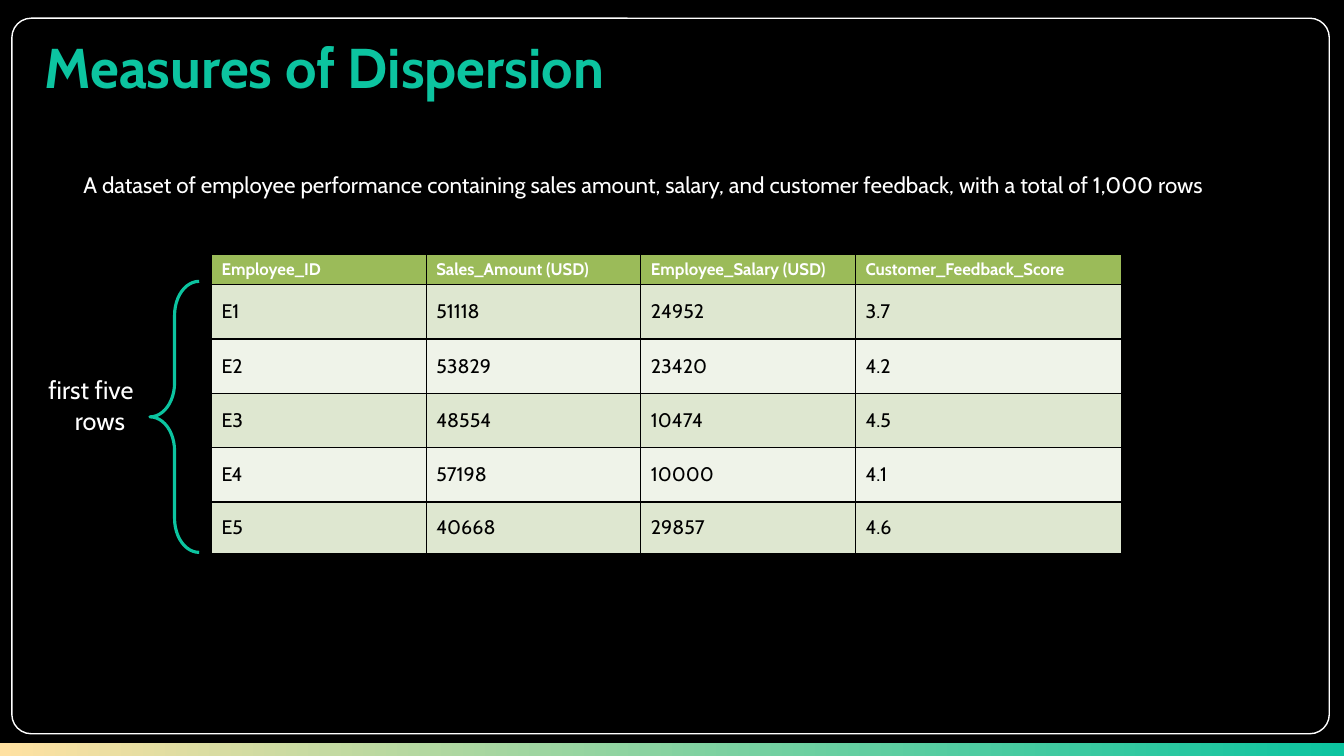
from lxml.etree import SubElement
from pptx import Presentation
from pptx.dml.color import RGBColor
from pptx.enum.shapes import MSO_SHAPE
from pptx.enum.text import MSO_ANCHOR, PP_ALIGN
from pptx.oxml.ns import qn
from pptx.util import Cm, Pt

FONT = "Cabin"
TEAL, WHITE, BLACK = "0CC4A0", "FFFFFF", "000000"
HEADER_FILL, BAND_FILLS = "9BBB59", ("DEE7D0", "EFF3E9")
COLUMN_WIDTHS = (5.41, 5.41, 5.41, 6.71)
ROW_HEIGHTS = (0.76, 1.37, 1.37, 1.37, 1.37, 1.3)
EMPLOYEES = (
    ("Employee_ID", "Sales_Amount (USD)", "Employee_Salary (USD)", "Customer_Feedback_Score"),
    ("E1", "51118", "24952", "3.7"),
    ("E2", "53829", "23420", "4.2"),
    ("E3", "48554", "10474", "4.5"),
    ("E4", "57198", "10000", "4.1"),
    ("E5", "40668", "29857", "4.6"),
)


def paint(color_format, color):
    color_format.rgb = RGBColor.from_string(color)


def paint_fill(fill, color):
    fill.solid()
    paint(fill.fore_color, color)


def format_paragraph(para, size, color, bold=False, align=PP_ALIGN.LEFT):
    para.alignment = align
    para.font.name = FONT
    para.font.size = Pt(size)
    para.font.bold = bold
    paint(para.font.color, color)


def add_outline(page, kind, left, top, width, height, color, weight, adjustment):
    shape = page.shapes.add_shape(kind, Cm(left), Cm(top), Cm(width), Cm(height))
    shape.shadow.inherit = False
    shape.fill.background()
    paint(shape.line.color, color)
    shape.line.width = Pt(weight)
    shape.adjustments[0] = adjustment


def add_gradient_bar(page, left, top, width, height, colors):
    bar = page.shapes.add_shape(MSO_SHAPE.RECTANGLE, Cm(left), Cm(top), Cm(width), Cm(height))
    bar.shadow.inherit = False
    bar.line.fill.background()
    bar.fill.gradient()
    bar.fill.gradient_angle = 0
    for stop, color, position in zip(bar.fill.gradient_stops, colors, (0, 1)):
        paint(stop.color, color)
        stop.position = position


def set_title(page, text):
    title = page.shapes.title
    title.left, title.top, title.width, title.height = Cm(1.12), Cm(0.81), Cm(19.71), Cm(1.7)
    frame = title.text_frame
    frame.margin_left = frame.margin_right = frame.margin_top = frame.margin_bottom = 0
    frame.vertical_anchor = MSO_ANCHOR.TOP
    frame.text = text
    format_paragraph(frame.paragraphs[0], 40, TEAL, bold=True)


def add_text(page, left, top, width, height, size, lines):
    box = page.shapes.add_textbox(Cm(left), Cm(top), Cm(width), Cm(height))
    frame = box.text_frame
    frame.word_wrap = True
    frame.text = "\n".join(text for text, align in lines)
    for para, (text, align) in zip(frame.paragraphs, lines):
        format_paragraph(para, size, WHITE, align=align)


def add_borders(cell, color, weight):
    properties = cell._tc.get_or_add_tcPr()
    for position, side in enumerate(("lnL", "lnR", "lnT", "lnB")):
        line = SubElement(properties, qn(f"a:{side}"), w=str(Pt(weight)))
        fill = SubElement(line, qn("a:solidFill"))
        SubElement(fill, qn("a:srgbClr"), val=color)
        properties.insert(position, line)


def add_employee_table(page, left, top):
    frame = page.shapes.add_table(
        len(EMPLOYEES), len(COLUMN_WIDTHS), Cm(left), Cm(top),
        Cm(sum(COLUMN_WIDTHS)), Cm(sum(ROW_HEIGHTS)))
    table = frame.table
    for column, width in zip(table.columns, COLUMN_WIDTHS):
        column.width = Cm(width)
    for index, (row, height, values) in enumerate(zip(table.rows, ROW_HEIGHTS, EMPLOYEES)):
        row.height = Cm(height)
        header = index == 0
        for cell, value in zip(row.cells, values):
            cell.text = value
            cell.vertical_anchor = MSO_ANCHOR.TOP if header else MSO_ANCHOR.MIDDLE
            paint_fill(cell.fill, HEADER_FILL if header else BAND_FILLS[(index - 1) % 2])
            add_borders(cell, BLACK, 1)
            format_paragraph(cell.text_frame.paragraphs[0], 12 if header else 14,
                             WHITE if header else BLACK, bold=header)


def main():
    deck = Presentation()
    deck.slide_width, deck.slide_height = Cm(33.87), Cm(19.05)
    page = deck.slides.add_slide(deck.slide_layouts[5])
    paint_fill(page.background.fill, BLACK)
    add_outline(page, MSO_SHAPE.ROUNDED_RECTANGLE, 0.3, 0.46, 33.2, 18.03, WHITE, 1, 0.027)
    add_gradient_bar(page, 0, 18.72, 33.87, 0.33, ("FFE1A2", TEAL))
    add_employee_table(page, 5.33, 6.4)
    set_title(page, "Measures of Dispersion")
    add_outline(page, MSO_SHAPE.LEFT_BRACE, 3.78, 7.09, 1.24, 6.83, TEAL, 2.25, 0.689)
    add_text(page, 0.97, 9.32, 3.1, 1.8, 18,
             [("first five", PP_ALIGN.LEFT), ("rows", PP_ALIGN.CENTER)])
    add_text(page, 1.85, 4.19, 31.37, 0.94, 16,
             [("A dataset of employee performance containing sales amount, salary, "
               "and customer feedback, with a total of 1,000 rows", PP_ALIGN.LEFT)])
    deck.save("out.pptx")


if __name__ == "__main__":
    main()
